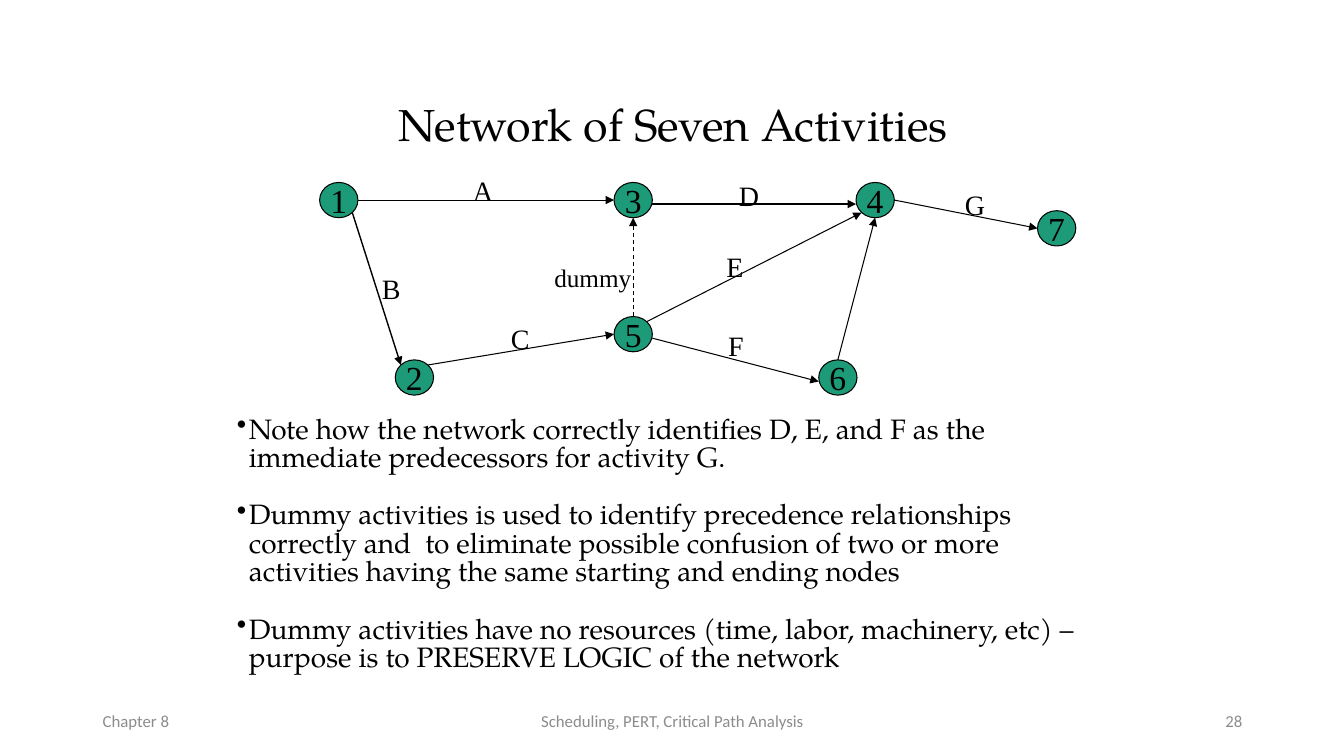
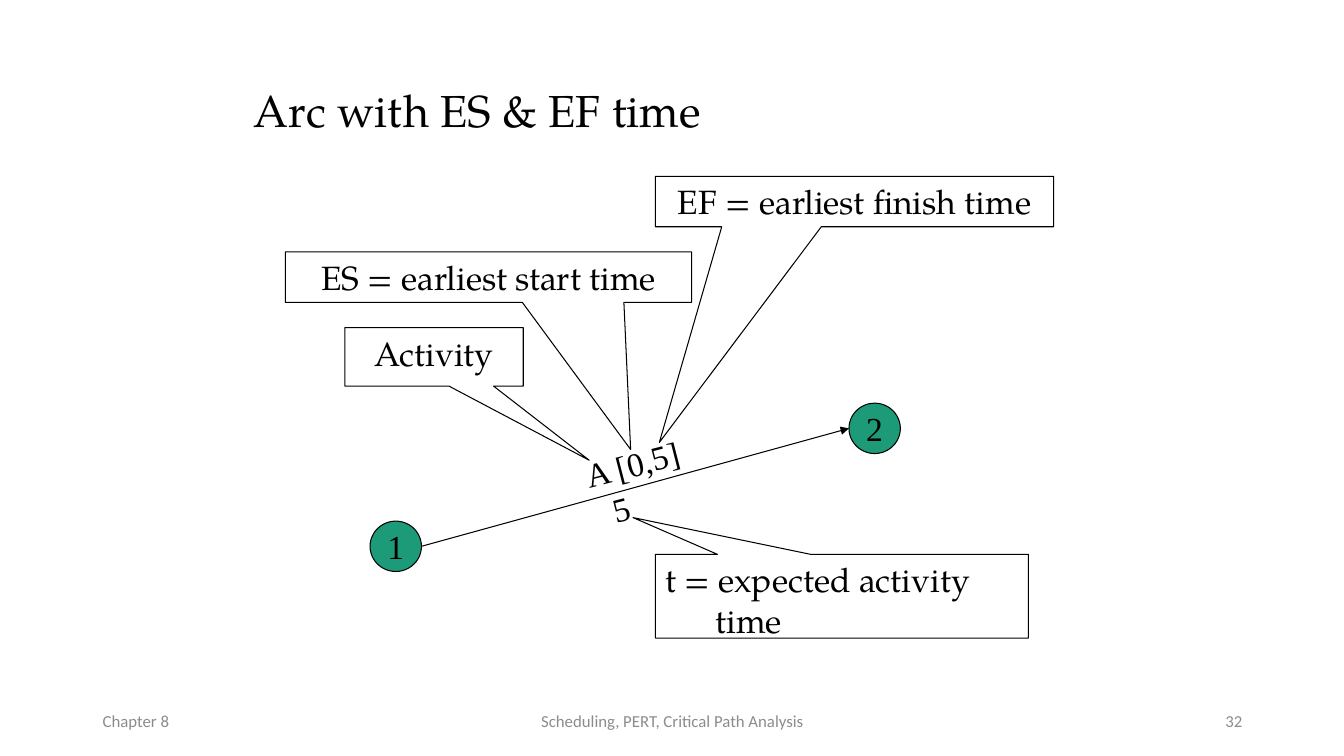
from math import cos, radians, sin

from lxml.etree import SubElement
from pptx import Presentation
from pptx.dml.color import RGBColor
from pptx.enum.dml import MSO_LINE
from pptx.enum.shapes import MSO_CONNECTOR, MSO_SHAPE
from pptx.enum.text import MSO_ANCHOR, PP_ALIGN
from pptx.oxml.ns import qn
from pptx.util import Inches, Pt

COLORS = {"ink": "000000", "node": "1D9A78", "paper": "FFFFFF", "footer": "8C8C8C"}
SERIF = "TeX Gyre Pagella"
ROMAN = "Times New Roman"
SANS = "Calibri"
LEFT, CENTER, RIGHT = PP_ALIGN.LEFT, PP_ALIGN.CENTER, PP_ALIGN.RIGHT
TOP, MIDDLE = MSO_ANCHOR.TOP, MSO_ANCHOR.MIDDLE
ANGLES = {"right": 0, "lower right": 45, "bottom": 90, "lower left": 135,
          "left": 180, "upper left": 225, "top": 270, "upper right": 315}


def color(name):
    return RGBColor.from_string(COLORS[name])


def indent(para, margin, first=0):
    properties = para._p.get_or_add_pPr()
    properties.set("marL", str(Inches(margin)))
    properties.set("indent", str(Inches(first)))
    return properties


def rim_point(node, side, drop):
    angle = radians(ANGLES[side])
    x = node.left + node.width / 2 * (1 + cos(angle))
    y = node.top + node.height / 2 * (1 + sin(angle))
    return int(x), int(y) + Inches(drop)


class SlideBuilder:
    def __init__(self, deck):
        self.deck = deck
        self.page = None

    def start(self, number):
        self.page = self.deck.slides.add_slide(self.deck.slide_layouts[6])
        footers = [(0.92, 3, "Chapter 8", LEFT),
                   (4.42, 4.5, "Scheduling, PERT, Critical Path Analysis", CENTER),
                   (9.42, 3, number, RIGHT)]
        for left, width, text, align in footers:
            self.text(left, 6.95, width, 0.4, [text], SANS, 12, align, MIDDLE, "footer")

    def fill_text(self, shape, lines, font, size, align, anchor=TOP, ink="ink", wrap=True):
        frame = shape.text_frame
        frame.word_wrap = wrap
        frame.vertical_anchor = anchor
        for index, line in enumerate(lines):
            para = frame.add_paragraph() if index else frame.paragraphs[0]
            para.text = line
            para.alignment = align
            para.font.name = font
            para.font.size = Pt(size)
            para.font.color.rgb = color(ink)
        return frame.paragraphs

    def text(self, left, top, width, height, lines, font, size, align=LEFT,
             anchor=TOP, ink="ink", wrap=True):
        box = self.page.shapes.add_textbox(
            Inches(left), Inches(top), Inches(width), Inches(height))
        self.fill_text(box, lines, font, size, align, anchor, ink, wrap)
        return box

    def title(self, left, top, width, height, text, align):
        box = self.text(left, top, width, height, [text], SERIF, 32, align, MIDDLE)
        box.text_frame.paragraphs[0].line_spacing = 0.9

    def label(self, x, y, text, size=20, width=0.4):
        self.text(x - width / 2, y - 0.22, width, 0.43, [text], ROMAN, size,
                  CENTER, wrap=False)

    def bullets(self, left, top, width, height, lines):
        box = self.text(left, top, width, height, lines, SERIF, 20)
        for index, para in enumerate(box.text_frame.paragraphs):
            para.line_spacing = 0.85
            para.space_before = Pt(20.4 if index else 0)
            SubElement(indent(para, 0.12, -0.12), qn("a:buChar")).set("char", "•")

    def shape(self, kind, left, top, width, height, fill):
        shape = self.page.shapes.add_shape(
            kind, Inches(left), Inches(top), Inches(width), Inches(height))
        shape.shadow.inherit = False
        shape.fill.solid()
        shape.fill.fore_color.rgb = color(fill)
        shape.line.color.rgb = color("ink")
        shape.line.width = Pt(0.75)
        return shape

    def node(self, left, top, text, width=0.38, height=0.35, kind=MSO_SHAPE.OVAL):
        node = self.shape(kind, left, top, width, height, "node")
        self.fill_text(node, [text], ROMAN, 24, CENTER, MIDDLE, wrap=False)
        return node

    def callout(self, left, top, width, height, tip, lines, align=CENTER):
        callout = self.shape(MSO_SHAPE.RECTANGULAR_CALLOUT, left, top, width, height, "paper")
        for index, value in enumerate(tip):
            callout.adjustments[index] = value
        return self.fill_text(callout, lines, SERIF, 24, align)

    def arrow(self, source, source_side, target, target_side, drop=0, width=0.75,
              dashed=False):
        arrow = self.page.shapes.add_connector(
            MSO_CONNECTOR.STRAIGHT, *rim_point(source, source_side, drop),
            *rim_point(target, target_side, drop))
        arrow.line.color.rgb = color("ink")
        arrow.line.width = Pt(width)
        if dashed:
            arrow.line.dash_style = MSO_LINE.DASH
        properties = arrow._element.spPr
        SubElement(properties.find(qn("a:ln")), qn("a:tailEnd")).set("type", "triangle")
        SubElement(properties, qn("a:effectLst"))


def network_slide(builder):
    builder.start("28")
    builder.title(3.81, 0.95, 5.74, 0.63, "Network of Seven Activities", CENTER)
    builder.bullets(2.25, 4.08, 8.92, 2.68, [
        "Note how the network correctly identifies D, E, and F as the immediate "
        "predecessors for activity G.",
        "Dummy activities is used to identify precedence relationships correctly and  to "
        "eliminate possible confusion of two or more activities having the same starting "
        "and ending nodes",
        "Dummy activities have no resources (time, labor, machinery, etc) – purpose is to "
        "PRESERVE LOGIC of the network"])
    places = {"1": (3.17, 1.81), "2": (3.92, 3.57), "3": (6.09, 1.81), "4": (8.49, 1.81),
              "5": (6.09, 3.14), "6": (8.12, 3.57), "7": (10.29, 2.09)}
    nodes = {name: builder.node(*place, name) for name, place in places.items()}
    activities = [
        ("1", "right", "3", "left", {}),
        ("1", "lower right", "2", "upper left", {"width": 1}),
        ("2", "upper right", "5", "left", {}),
        ("3", "right", "4", "left", {"drop": 0.04, "width": 1}),
        ("5", "upper right", "4", "lower left", {}),
        ("5", "right", "6", "left", {"drop": 0.04}),
        ("4", "right", "7", "left", {}),
        ("6", "top", "4", "bottom", {}),
        ("5", "top", "3", "bottom", {"dashed": True})]
    for source, source_side, target, target_side, style in activities:
        builder.arrow(nodes[source], source_side, nodes[target], target_side, **style)
    labels = {"A": (4.79, 1.89), "B": (3.88, 2.86), "C": (5.16, 3.36), "D": (7.43, 1.94),
              "E": (7.29, 2.65), "F": (7.3, 3.43), "G": (9.67, 2.03)}
    for name, place in labels.items():
        builder.label(*place, name)
    builder.label(5.88, 2.77, "dummy", 18, 0.97)


def arc_slide(builder):
    builder.start("32")
    builder.title(2.42, 0.75, 8.58, 0.75, "Arc with ES & EF time", LEFT)
    start, finish = [builder.node(left, top, name, 0.51, 0.5, MSO_SHAPE.FLOWCHART_CONNECTOR)
                     for left, top, name in [(3.67, 5.17, "1"), (8.42, 4, "2")]]
    builder.arrow(start, "right", finish, "left")
    times = builder.text(5.75, 4.34, 1.18, 0.91, ["A [0,5]", "5"], ROMAN, 24)
    times.rotation = 345.5
    indent(times.text_frame.paragraphs[1], 0.17)
    builder.callout(3.42, 3.25, 1.77, 0.58, (0.87, 1.77), ["Activity"])
    builder.callout(2.83, 2.5, 4.03, 0.5, (0.35, 3.42), ["ES = earliest start time"])
    builder.callout(6.5, 1.75, 3.95, 0.5, (-0.49, 4.78), ["EF = earliest finish time"])
    expected = builder.callout(6.5, 5.5, 3.7, 0.83, (-0.56, -0.94),
                               ["t = expected activity", "time"], LEFT)
    indent(expected[1], 0.5)


def main():
    deck = Presentation()
    deck.slide_width = Inches(13.33)
    deck.slide_height = Inches(7.5)
    builder = SlideBuilder(deck)
    network_slide(builder)
    arc_slide(builder)
    deck.save("out.pptx")


if __name__ == "__main__":
    main()
